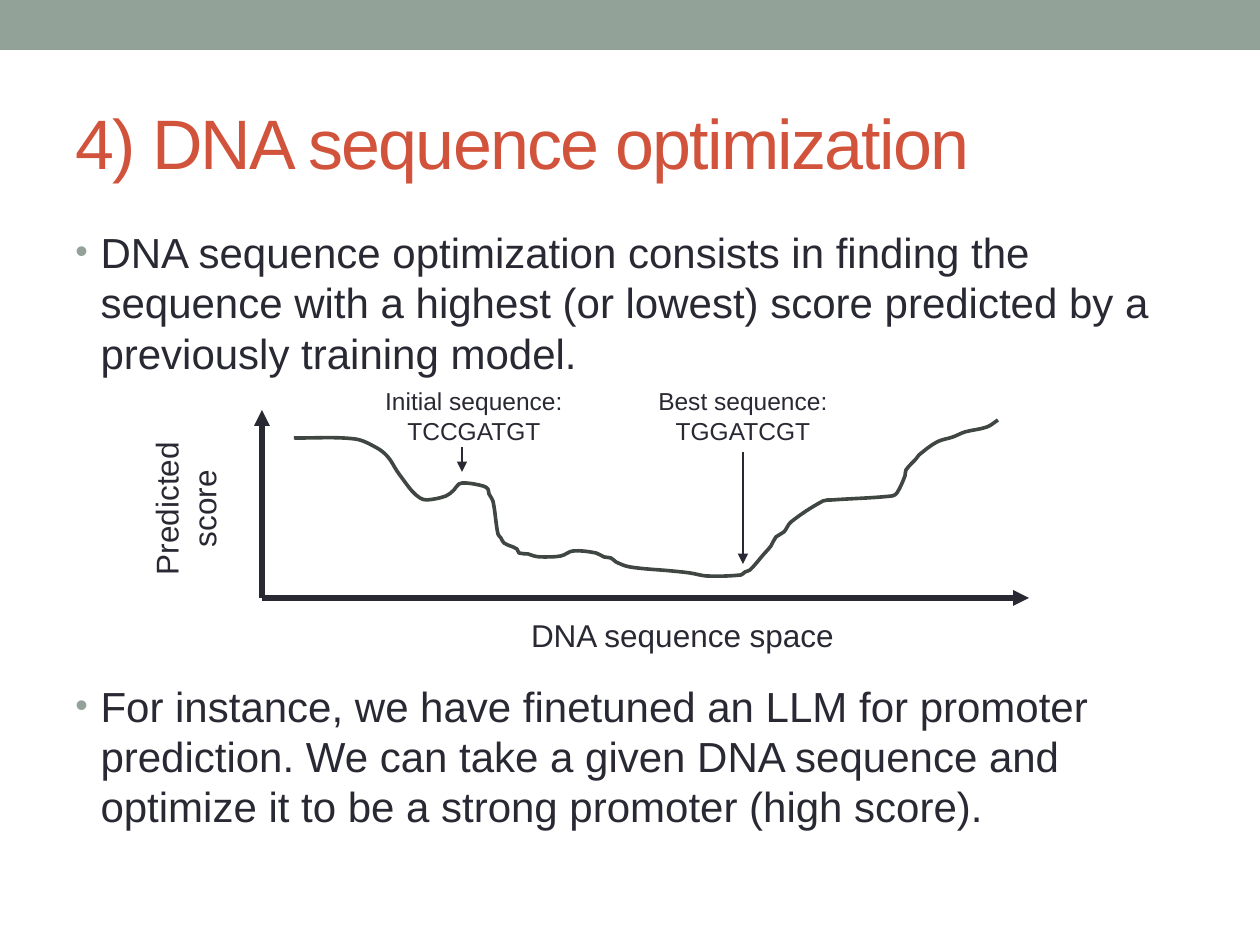
from math import dist

from lxml.etree import SubElement
from pptx import Presentation
from pptx.dml.color import RGBColor
from pptx.enum.shapes import MSO_CONNECTOR as Connector, MSO_SHAPE as Shape
from pptx.enum.text import MSO_ANCHOR as Anchor, PP_ALIGN as Align
from pptx.oxml.ns import qn
from pptx.util import Emu, Pt

FONT = "Arial"
SAGE = RGBColor(0x93, 0xA2, 0x99)
RUST = RGBColor(0xD2, 0x53, 0x3C)
INK = RGBColor(0x29, 0x29, 0x34)
CURVE = RGBColor(0x40, 0x47, 0x43)

TITLE = "4) DNA sequence optimization"
# Bullet text, space before in points (leaves room for the diagram)
BULLETS = [
    ("DNA sequence optimization consists in finding the sequence with a highest "
     "(or lowest) score predicted by a previously training model.", 0),
    ("For instance, we have finetuned an LLM for promoter prediction. We can take "
     "a given DNA sequence and optimize it to be a strong promoter (high score).", 173),
]
# Lines, box in px, size in points, rotation
LABELS = [
    (["Predicted score"], (96, 464, 179, 89), 18, 270),
    (["DNA sequence space"], (504, 610, 357, 53), 18, 0),
    (["Best sequence:", "TGGATCGT"], (604, 380, 278, 72), 14, 0),
    (["Initial sequence:", "TCCGATGT"], (335, 380, 278, 72), 14, 0),
]
# Start, end, line width in points
ORIGIN = (262, 598)
ARROWS = [
    (ORIGIN, (262, 410), 3),
    (ORIGIN, (1029, 598), 3),
    ((743, 452), (743, 564), 1.5),
    ((462, 447), (462, 472), 1.5),
]
# Points the score curve runs through
LANDSCAPE = [
    (294, 438), (355, 439), (377, 448), (388, 457), (397, 471), (402, 478),
    (412, 491), (420, 498), (427, 500), (446, 496), (454, 490), (459, 484),
    (466, 483), (483, 486), (488, 489), (489, 494), (493, 501), (498, 534),
    (501, 538), (504, 543), (517, 549), (519, 553), (528, 554), (534, 556),
    (541, 557), (561, 556), (573, 551), (596, 553), (604, 557), (611, 558),
    (616, 562), (630, 567), (672, 571), (690, 573), (707, 576), (741, 575),
    (745, 572), (750, 570), (764, 554), (771, 546), (776, 537), (784, 532),
    (791, 522), (823, 501), (832, 500), (892, 496), (897, 493), (905, 476),
    (906, 470), (916, 459), (919, 455), (937, 442), (953, 437), (965, 432),
    (987, 427), (998, 420),
]


def px(n):
    return Emu(round(n * 914400 / 126))


def place(shape, box):
    shape.left, shape.top, shape.width, shape.height = map(px, box)


def add_run(paragraph, text, size, color):
    run = paragraph.add_run()
    run.text = text
    run.font.name, run.font.size = FONT, Pt(size)
    run.font.color.rgb = color
    return run


def add_text_frame(slide, box, rotation=0):
    holder = slide.shapes.add_textbox(*map(px, box))
    holder.rotation = rotation
    holder.text_frame.word_wrap = True
    return holder.text_frame


def paragraph_at(frame, i):
    return frame.add_paragraph() if i else frame.paragraphs[0]


def set_bullet(paragraph):
    props = paragraph._p.get_or_add_pPr()
    indent = Pt(14.4)
    props.set("marL", str(indent))
    props.set("indent", str(-indent))
    color = SubElement(props, qn("a:buClr"))
    SubElement(color, qn("a:srgbClr")).set("val", str(SAGE))
    SubElement(props, qn("a:buSzPct")).set("val", "85000")
    SubElement(props, qn("a:buFont")).set("typeface", FONT)
    SubElement(props, qn("a:buChar")).set("char", "•")


def add_arrow(slide, start, end, width):
    arrow = slide.shapes.add_connector(Connector.STRAIGHT, *map(px, start + end))
    arrow.line.color.rgb, arrow.line.width = INK, Pt(width)
    SubElement(arrow.line._get_or_add_ln(), qn("a:tailEnd")).set("type", "triangle")
    SubElement(arrow._element.spPr, qn("a:effectLst"))


def bezier_points(knots):
    """Two handles and an end for each span, tangent to the neighbouring knots."""
    tangents = []
    for before, after in zip(knots[:1] + knots, knots[1:] + knots[-1:]):
        length = dist(before, after)
        tangents.append([(b - a) / length for a, b in zip(before, after)])
    points = []
    for i, (start, end) in enumerate(zip(knots, knots[1:])):
        reach = dist(start, end) / 3
        points += [tuple(s + reach * t for s, t in zip(start, tangents[i])),
                   tuple(e - reach * t for e, t in zip(end, tangents[i + 1])),
                   end]
    return points


def add_curve(slide, knots):
    builder = slide.shapes.build_freeform(*map(px, knots[0]))
    builder.add_line_segments(
        [(px(x), px(y)) for x, y in bezier_points(knots)], close=False)
    curve = builder.convert_to_shape()
    # Turn each three line steps into one cubic span
    outline = next(curve._element.iter(qn("a:path")))
    steps = outline.findall(qn("a:lnTo"))
    for i in range(0, len(steps), 3):
        span = SubElement(outline, qn("a:cubicBezTo"))
        for step in steps[i:i + 3]:
            span.append(step[0])
            outline.remove(step)
    curve.shadow.inherit = False
    curve.fill.background()
    curve.line.color.rgb, curve.line.width = CURVE, Pt(2.08)


def main():
    deck = Presentation()
    deck.slide_width, deck.slide_height = px(1260), px(945)
    slide = deck.slides.add_slide(deck.slide_layouts[5])

    # Top band
    band = slide.shapes.add_shape(Shape.RECTANGLE, *map(px, (0, 0, 1260, 50)))
    band.shadow.inherit = False
    band.fill.solid()
    band.fill.fore_color.rgb = SAGE
    band.line.fill.background()

    # Title
    title = slide.shapes.title
    place(title, (63, 73, 1134, 136))
    title.text_frame.vertical_anchor = Anchor.MIDDLE
    heading = title.text_frame.paragraphs[0]
    heading.alignment = Align.LEFT
    run = add_run(heading, TITLE, 40, RUST)
    run.font._element.set("spc", "-100")

    # Bullets above and below the diagram
    body = add_text_frame(slide, (63, 220, 1134, 672))
    for i, (text, gap) in enumerate(BULLETS):
        paragraph = paragraph_at(body, i)
        set_bullet(paragraph)
        if gap:
            paragraph.space_before = Pt(gap)
        add_run(paragraph, text, 24, INK)

    # Axes, pointers and score curve
    for start, end, width in ARROWS:
        add_arrow(slide, start, end, width)
    add_curve(slide, LANDSCAPE)

    # Axis and sequence labels
    for lines, box, size, rotation in LABELS:
        frame = add_text_frame(slide, box, rotation)
        for i, line in enumerate(lines):
            paragraph = paragraph_at(frame, i)
            paragraph.alignment = Align.CENTER
            add_run(paragraph, line, size, INK)

    deck.save("out.pptx")


if __name__ == "__main__":
    main()
